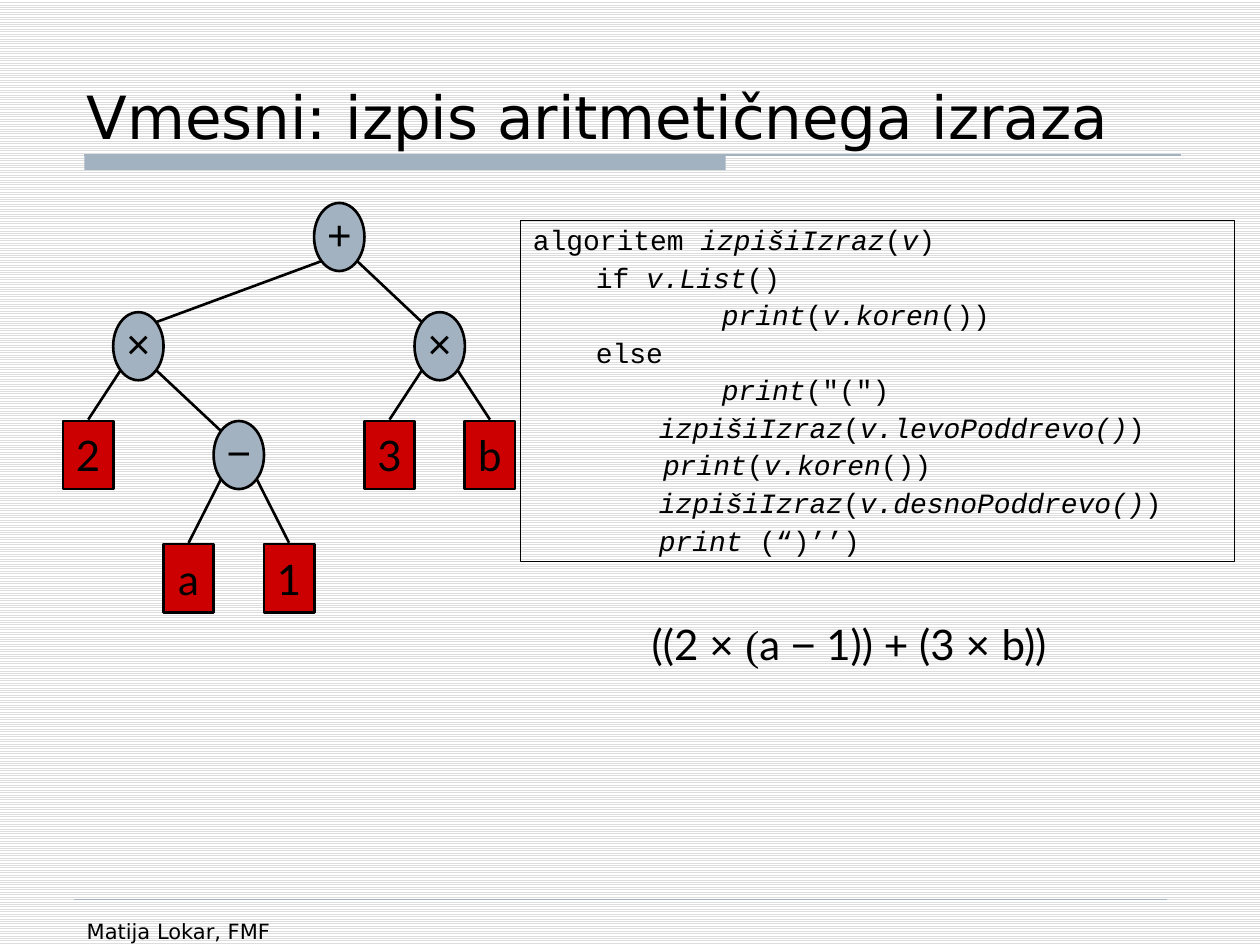
from dataclasses import dataclass
from lxml import etree
from pptx import Presentation
from pptx.dml.color import RGBColor
from pptx.enum.dml import MSO_PATTERN
from pptx.enum.shapes import MSO_CONNECTOR, MSO_SHAPE
from pptx.enum.text import MSO_ANCHOR, PP_ALIGN
from pptx.oxml.ns import qn
from pptx.util import Pt

OVAL, RECT = MSO_SHAPE.OVAL, MSO_SHAPE.RECTANGLE
TOP, MID, BOTTOM = MSO_ANCHOR.TOP, MSO_ANCHOR.MIDDLE, MSO_ANCHOR.BOTTOM
LEFT, CENTER = PP_ALIGN.LEFT, PP_ALIGN.CENTER
STRAIGHT, STRIPES = MSO_CONNECTOR.STRAIGHT, MSO_PATTERN.LIGHT_HORIZONTAL


@dataclass(frozen=True)
class Theme:
    ink: str = "000000"
    steel: str = "A3B2C1"
    leaf: str = "CC0000"
    stripe: str = "DDDDDD"
    paper: str = "FFFFFF"
    head: str = "DejaVu Sans"
    sign: str = "Arial"
    body: str = "Lato"
    serif: str = "Times New Roman"
    mono: str = "Courier New"
    title: int = 34
    large: int = 24
    code: int = 16
    small: int = 12


T = Theme()

TITLE = "Vmesni: izpis aritmetičnega izraza"
AUTHOR = "Matija Lokar, FMF"
CODE = [
    (0, "algoritem *izpišiIzraz*(*v*)"),
    (36, "if *v.List*()"),
    (108, "*print*(*v.koren*())"),
    (36, "else"),
    (108, "*print*(\"(\")"),
    (72, "*izpišiIzraz*(*v.levoPoddrevo()*)"),
    (74.4, "*print*(*v.koren*())"),
    (72, "*izpišiIzraz*(*v.desnoPoddrevo()*)"),
    (72, "*print *(“)’’)"),
]
TREE = ("+", ("×", "2", ("−", "a", "1")), ("×", "3", "b"))
FORMULA = [
    ("((2 ", T.body), ("× ", T.sign), ("(", T.serif), ("a ", T.body),
    ("−", T.sign), (" 1)) ", T.body), ("+", T.sign), (" (3 ", T.body),
    ("× ", T.sign), ("b))", T.body),
]

ROWS = (116, 178.4, 240.6, 311)
FIRST, STEP = 50.4, 28.7
WIDE, HIGH = 28.8, 38.9

deck = Presentation()
deck.slide_width, deck.slide_height = Pt(720), Pt(540)
slide = deck.slides.add_slide(deck.slide_layouts[6])
shapes = slide.shapes


def color(name):
    return RGBColor.from_string(name)


def write(shape, paras, size, font=T.body, align=LEFT, anchor=TOP, wrap=True,
          pad=(7.2, 3.6, 7.2, 3.6), lines=None, before=None):
    frame = shape.text_frame
    frame.word_wrap, frame.vertical_anchor = wrap, anchor
    (frame.margin_left, frame.margin_top,
     frame.margin_right, frame.margin_bottom) = map(Pt, pad)
    for i, (indent, runs) in enumerate(paras):
        para = frame.add_paragraph() if i else frame.paragraphs[0]
        para.alignment, para.line_spacing = align, lines
        if before:
            para.space_before = Pt(before)
        if indent:
            para._p.get_or_add_pPr().set("marL", str(Pt(indent)))
        for text, face, slant in runs:
            run = para.add_run()
            run.text = text
            run.font.name, run.font.size = face or font, Pt(size)
            run.font.italic = slant
            run.font.color.rgb = color(T.ink)


def plain(text):
    return [(0, [(text, None, False)])]


def slanted(text):
    return [(part, None, i % 2 == 1)
            for i, part in enumerate(text.split("*")) if part]


def box(x, y, w, h):
    return shapes.add_textbox(Pt(x), Pt(y), Pt(w), Pt(h))


def block(kind, x, y, w, h, fill, edge=None):
    shape = shapes.add_shape(kind, Pt(x), Pt(y), Pt(w), Pt(h))
    shape.shadow.inherit = False
    shape.fill.solid()
    shape.fill.fore_color.rgb = color(fill)
    if edge:
        shape.line.color.rgb = color(T.ink)
        shape.line.width = Pt(edge)
    else:
        shape.line.fill.background()
    return shape


def link(x1, y1, x2, y2, ink=T.ink, width=1.5):
    line = shapes.add_connector(STRAIGHT, Pt(x1), Pt(y1), Pt(x2), Pt(y2))
    line.line.color.rgb = color(ink)
    line.line.width = Pt(width)
    etree.SubElement(line._element.spPr, qn("a:effectLst"))


def grow(node, row, slot):
    y = ROWS[row]
    if isinstance(node, str):
        x = FIRST + slot * STEP
        shape = block(RECT, x - WIDE / 2, y, WIDE, HIGH, T.leaf, 1.5)
        write(shape, plain(node), T.large, align=CENTER, anchor=MID,
              wrap=False, pad=(0, 0, 0, 0))
        return (x, y - 0.8), (x, y - 0.8), slot + 1
    sign, left, right = node
    start, _, mid = grow(left, row + 1, slot)
    _, end, after = grow(right, row + 1, mid + 1)
    x = FIRST + mid * STEP
    dx, dy = WIDE * 0.354, HIGH * 0.354
    y1, y2 = y + HIGH / 2 - dy, y + HIGH / 2 + dy
    shape = block(OVAL, x - WIDE / 2, y, WIDE, HIGH, T.steel, 1.5)
    write(shape, plain(sign), T.large, font=T.sign, align=CENTER, anchor=MID,
          wrap=False, pad=(0, 0, 0, 3.6))
    link(x - dx, y2, *start)
    link(x + dx, y2, *end)
    return (x + dx, y1), (x - dx, y1), after


back = slide.background.fill
back.patterned()
back.pattern = STRIPES
back.fore_color.rgb = color(T.stripe)
back.back_color.rgb = color(T.paper)

block(RECT, 48.2, 88.6, 366.5, 8.6, T.steel)
link(48.2, 88.6, 674.6, 88.6, T.steel, 0.75)
link(42.5, 514, 666.7, 514, T.steel, 0.25)

write(box(42.5, 521.3, 156.2, 37.4), plain(AUTHOR), T.small, font=T.head)
write(box(42.5, 0, 635.8, 90), plain(TITLE), T.title, font=T.head,
      anchor=BOTTOM)

code = box(297.4, 125.9, 408.2, 195.1)
code.line.color.rgb = color(T.ink)
code.line.width = Pt(0.75)
write(code, [(indent, slanted(text)) for indent, text in CODE], T.code,
      font=T.mono, lines=0.9, before=4.2)

grow(TREE, 0, 0)

write(box(354.2, 349.9, 262.1, 36),
      [(0, [(text, face, False) for text, face in FORMULA])],
      T.large, align=CENTER, wrap=False)

deck.save("out.pptx")
